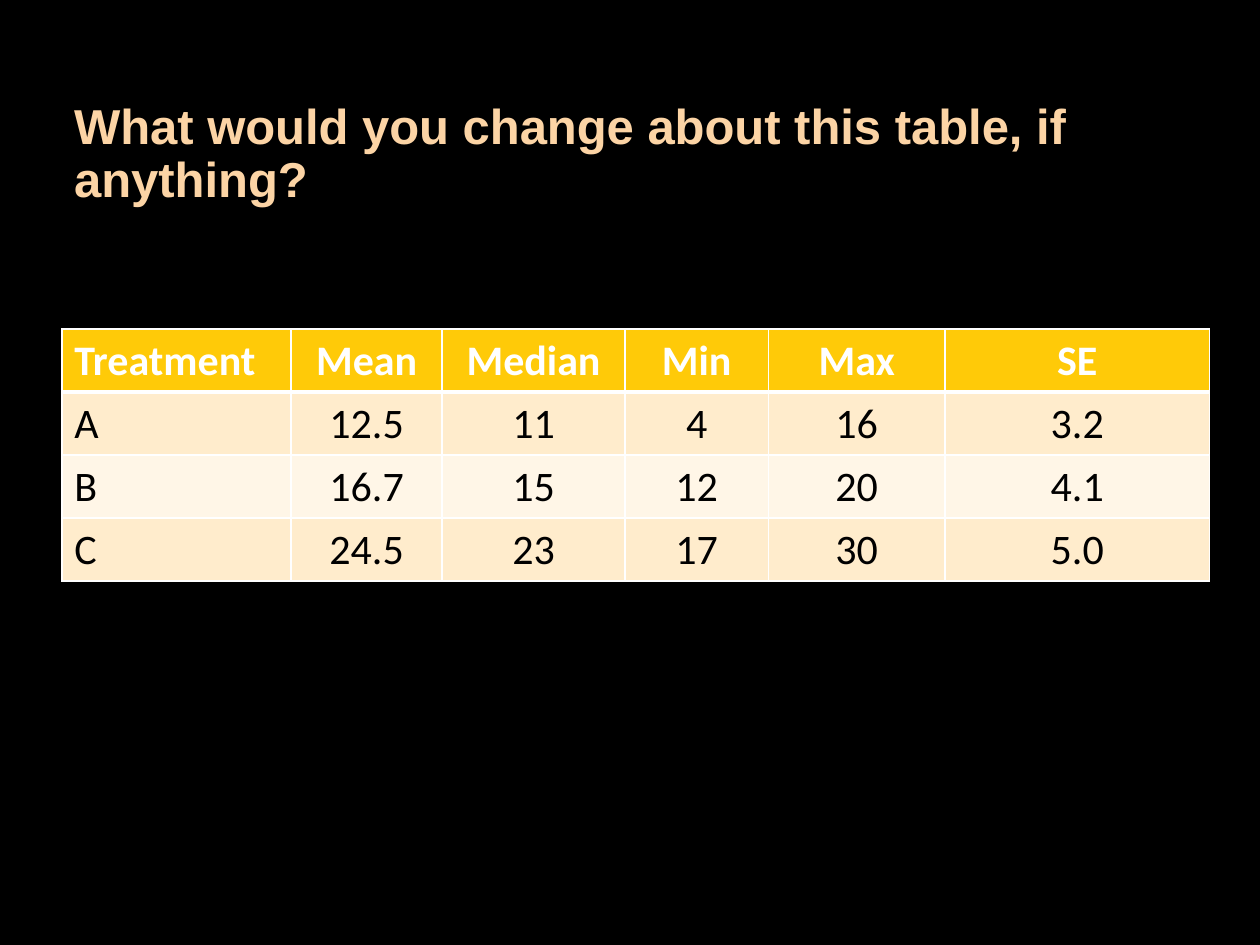
from dataclasses import dataclass

from lxml import etree
from pptx import Presentation
from pptx import util as u
from pptx.dml.color import RGBColor
from pptx.enum import text
from pptx.oxml import ns

COLORS = {
    "background": "000000",
    "title": "FCD4A5",
    "header": "FFCA08",
    "odd": "FFECCC",
    "even": "FFF6E7",
    "border": "FFFFFF",
    "header_text": "FFFFFF",
    "body_text": "000000",
}


@dataclass(frozen=True)
class Column:
    heading: str
    width: float
    values: tuple[str, ...]
    align: text.PP_ALIGN = text.PP_ALIGN.CENTER


@dataclass(frozen=True)
class RowStyle:
    fill: str
    ink: str
    bold: bool = False


COLUMNS = (
    Column("Treatment", 1.82, ("A", "B", "C"), text.PP_ALIGN.LEFT),
    Column("Mean", 1.2, ("12.5", "16.7", "24.5")),
    Column("Median", 1.45, ("11", "15", "23")),
    Column("Min", 1.14, ("4", "12", "17")),
    Column("Max", 1.4, ("16", "20", "30")),
    Column("SE", 2.1, ("3.2", "4.1", "5.0")),
)
HEADER = RowStyle("header", "header_text", True)
BANDS = (RowStyle("odd", "body_text"), RowStyle("even", "body_text"))
LEFT = 0.49
ROW_HEIGHT = 0.5


def rgb(name: str) -> RGBColor:
    return RGBColor.from_string(COLORS[name])


def add_run(paragraph, words: str, font: str, size: int, color: str, bold: bool) -> None:
    run = paragraph.add_run()
    run.text = words
    run.font.name = font
    run.font.size = u.Pt(size)
    run.font.bold = bold
    run.font.color.rgb = rgb(color)


def set_borders(cell, widths: dict[str, int]) -> None:
    properties = cell._tc.get_or_add_tcPr()
    for position, (side, points) in enumerate(widths.items()):
        border = etree.Element(ns.qn(f"a:ln{side}"), w=str(u.Pt(points)))
        fill = etree.SubElement(border, ns.qn("a:solidFill"))
        etree.SubElement(fill, ns.qn("a:srgbClr"), val=COLORS["border"])
        properties.insert(position, border)


def add_title(slide, words: str) -> None:
    title = slide.shapes.add_textbox(
        u.Inches(LEFT), u.Inches(0.32), u.Inches(9.1), u.Inches(1.38)
    ).text_frame
    title.word_wrap = True
    title.vertical_anchor = text.MSO_ANCHOR.BOTTOM
    question = title.paragraphs[0]
    question.line_spacing = 0.9
    add_run(question, words, "Arial", 28, "title", True)


def fill_cell(cell, words: str, align: text.PP_ALIGN, style: RowStyle) -> None:
    cell.fill.solid()
    cell.fill.fore_color.rgb = rgb(style.fill)
    entry = cell.text_frame.paragraphs[0]
    entry.alignment = align
    add_run(entry, words, "Calibri", 24, style.ink, style.bold)


def add_summary(slide, columns: tuple[Column, ...]) -> None:
    row_count = 1 + len(columns[0].values)
    summary = slide.shapes.add_table(
        row_count,
        len(columns),
        u.Inches(LEFT),
        u.Inches(2.61),
        u.Inches(sum(column.width for column in columns)),
        u.Inches(ROW_HEIGHT * row_count),
    ).table
    for c, column in enumerate(columns):
        summary.columns[c].width = u.Inches(column.width)
        for r, words in enumerate((column.heading, *column.values)):
            style = BANDS[(r - 1) % 2] if r else HEADER
            cell = summary.cell(r, c)
            fill_cell(cell, words, column.align, style)
            top, bottom = {0: (1, 3), 1: (3, 1)}.get(r, (1, 1))
            set_borders(cell, {"L": 1, "R": 1, "T": top, "B": bottom})


def main() -> None:
    """Build the slide that asks for a critique of a summary table."""
    deck = Presentation()
    deck.slide_width, deck.slide_height = u.Inches(10), u.Inches(7.5)
    slide = deck.slides.add_slide(deck.slide_layouts[6])
    slide.background.fill.solid()
    slide.background.fill.fore_color.rgb = rgb("background")
    add_title(slide, "What would you change about this table, if anything?")
    add_summary(slide, COLUMNS)
    deck.save("out.pptx")


if __name__ == "__main__":
    main()
